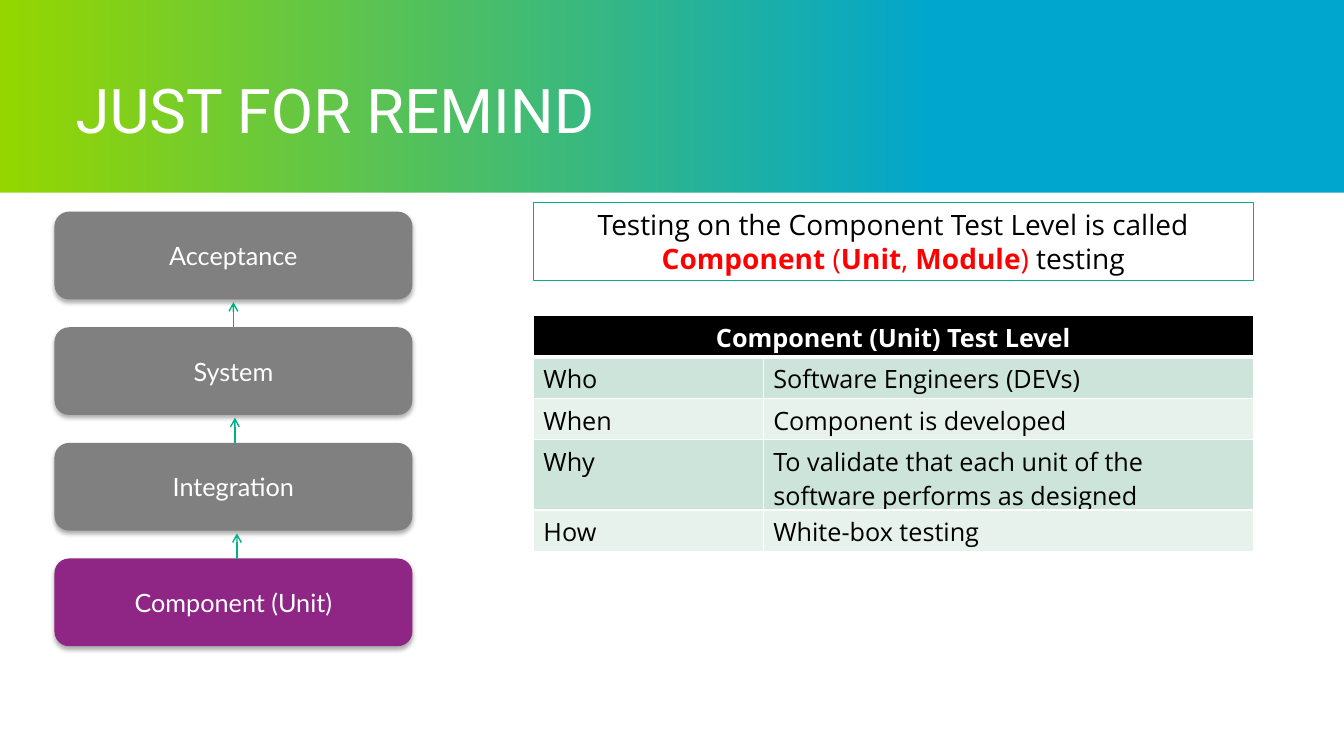
from lxml.etree import SubElement
from pptx import Presentation
from pptx.dml.color import RGBColor
from pptx.enum.shapes import MSO_CONNECTOR as Connector, MSO_SHAPE as Shape
from pptx.enum.text import MSO_ANCHOR as Anchor, PP_ALIGN as Align
from pptx.oxml import parse_xml
from pptx.oxml.ns import nsdecls, qn
from pptx.util import Inches, Pt

THEME = {
    "lime": "95D600", "blue": "00A6CE", "green": "00B188", "purple": "8F2585",
    "gray": "808080", "white": "FFFFFF", "black": "000000", "red": "FF0000",
    "bands": ("E7F2ED", "CCE4DA"),
    "title": {"name": "Roboto", "size": Pt(44)},
    "level": {"name": "Lato", "size": Pt(18)},
    "cell": {"name": "Open Sans", "size": Pt(18)},
    "callout": {"name": "Open Sans", "size": Pt(20)},
}
WIDTH, HEIGHT = 13.33, 7.5
BAND_HEIGHT = 1.91
LEFT, TOP, BOX_WIDTH, BOX_HEIGHT, PITCH = 0.54, 2.1, 3.55, 0.87, 1.147
RIGHT_COLUMN, RIGHT_WIDTH = 5.29, 7.14


def add_box(kind, left, top, width, height, fill=None):
    box = page.shapes.add_shape(kind, *map(Inches, (left, top, width, height)))
    box.shadow.inherit = False
    box.line.fill.background()
    if fill:
        box.fill.solid()
        box.fill.fore_color.rgb = RGBColor.from_string(fill)
    else:
        box.fill.background()
    box.text_frame.word_wrap = True
    return box


def write(frame, style, spans, align=Align.LEFT):
    """Fill the first paragraph with (text, colour, bold) spans."""
    para = frame.paragraphs[0]
    para.alignment = align
    for text, color, bold in spans:
        span = para.add_run()
        span.text = text
        for name, value in {**THEME[style], "bold": bold}.items():
            setattr(span.font, name, value)
        span.font.color.rgb = RGBColor.from_string(THEME[color])
    return para


deck = Presentation()
deck.slide_width, deck.slide_height = Inches(WIDTH), Inches(HEIGHT)
page = deck.slides.add_slide(deck.slide_layouts[6])

# Backdrop and title
backdrop = add_box(Shape.RECTANGLE, 0, 0, WIDTH, HEIGHT)
backdrop.fill.gradient()
backdrop.fill.gradient_angle = 0
for stop, (position, color) in zip(backdrop.fill.gradient_stops, ((0, "lime"), (0.7, "blue"))):
    stop.position = position
    stop.color.rgb = RGBColor.from_string(THEME[color])
add_box(Shape.RECTANGLE, 0, BAND_HEIGHT, WIDTH, HEIGHT - BAND_HEIGHT, THEME["white"])

title = page.shapes.add_textbox(*map(Inches, (0.75, 0.75, 11.83, 0.75))).text_frame
title.word_wrap = True
title.margin_left = 0
write(title, "title", [("JUST FOR REMIND", "white", False)]).line_spacing = 0.9

# Test levels, top to bottom
levels = (("Acceptance", "gray"), ("System", "gray"), ("Integration", "gray"),
          ("Component (Unit)", "purple"))
for row, (label, color) in enumerate(levels):
    top = TOP + row * PITCH
    level = add_box(Shape.ROUNDED_RECTANGLE, LEFT, top, BOX_WIDTH, BOX_HEIGHT, THEME[color])
    level.text_frame.vertical_anchor = Anchor.MIDDLE
    write(level.text_frame, "level", [(label, "white", False)], Align.CENTER)
    effects = level._element.spPr.find(qn("a:effectLst"))
    shadow = SubElement(effects, qn("a:outerShdw"), blurRad=str(Pt(3.5)), dist=str(Pt(2.2)),
                        dir="5400000", rotWithShape="0")
    shade = SubElement(shadow, qn("a:srgbClr"), val=THEME["black"])
    SubElement(shade, qn("a:alpha"), val="32000")

# Arrows up from each lower level
for row, center in enumerate((2.315, 2.33, 2.35), start=1):
    start = TOP + row * PITCH
    arrow = page.shapes.add_connector(
        Connector.STRAIGHT, *map(Inches, (center, start, center, start - 0.25)))
    arrow.line.width = Pt(1)
    arrow.line.color.rgb = RGBColor.from_string(THEME["green"])
    SubElement(arrow.line._get_or_add_ln(), qn("a:tailEnd"), type="arrow")
    SubElement(arrow._element.spPr, qn("a:effectLst"))

# Summary table
rows = (("Component (Unit) Test Level", ""),
        ("Who", "Software Engineers (DEVs)"),
        ("When", "Component is developed"),
        ("Why", "To validate that each unit of the software performs as designed"),
        ("How", "White-box testing"))
table = page.shapes.add_table(
    len(rows), 2, *map(Inches, (RIGHT_COLUMN, 3.13, RIGHT_WIDTH, 0.41 * len(rows)))).table
for column, width in zip(table.columns, (2.28, 4.86)):
    column.width = Inches(width)
table.cell(0, 0).merge(table.cell(0, 1))
for row, texts in enumerate(rows):
    header = row == 0
    for column, text in enumerate(texts):
        cell = table.cell(row, column)
        cell.fill.solid()
        cell.fill.fore_color.rgb = RGBColor.from_string(
            THEME["black"] if header else THEME["bands"][row % 2])
        for place, side in enumerate("LRTB"):
            thick = (header and side == "B") or (row == 1 and side == "T")
            cell._tc.get_or_add_tcPr().insert(place, parse_xml(
                f'<a:ln{side} {nsdecls("a")} w="{Pt(3 if thick else 1)}"><a:solidFill>'
                f'<a:srgbClr val="{THEME["white"]}"/></a:solidFill></a:ln{side}>'))
        if text:
            write(cell.text_frame, "cell", [(text, "white" if header else "black", header)],
                  Align.CENTER if header else Align.LEFT)

# Callout above the table
callout = add_box(Shape.RECTANGLE, RIGHT_COLUMN, 2.01, RIGHT_WIDTH, 0.77)
callout.line.color.rgb = RGBColor.from_string(THEME["green"])
callout.line.width = Pt(0.75)
callout.text_frame.vertical_anchor = Anchor.TOP
write(callout.text_frame, "callout", (
    ("Testing on the Component Test Level is called ", "black", False),
    ("Component", "red", True), (" (", "red", False), ("Unit", "red", True),
    (", ", "red", False), ("Module", "red", True), (")", "red", False),
    (" testing", "black", False)), Align.CENTER)

deck.save("out.pptx")
